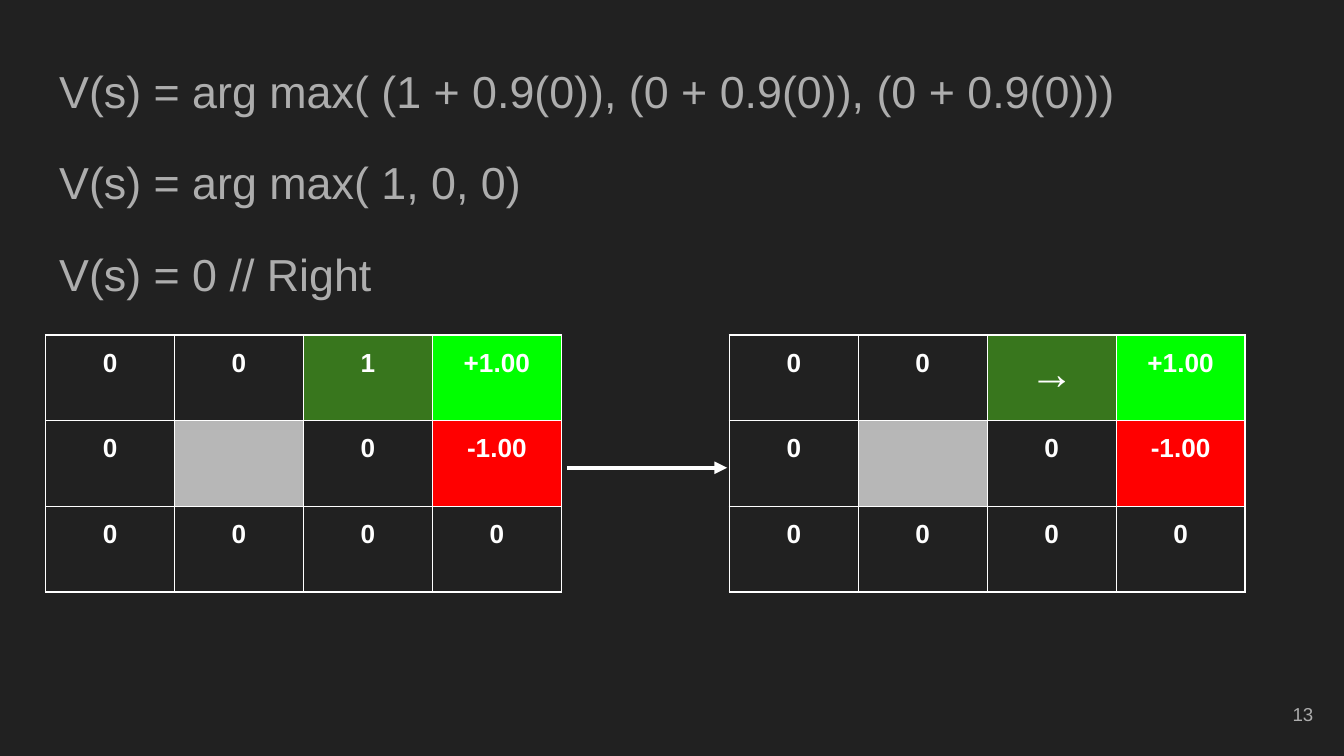
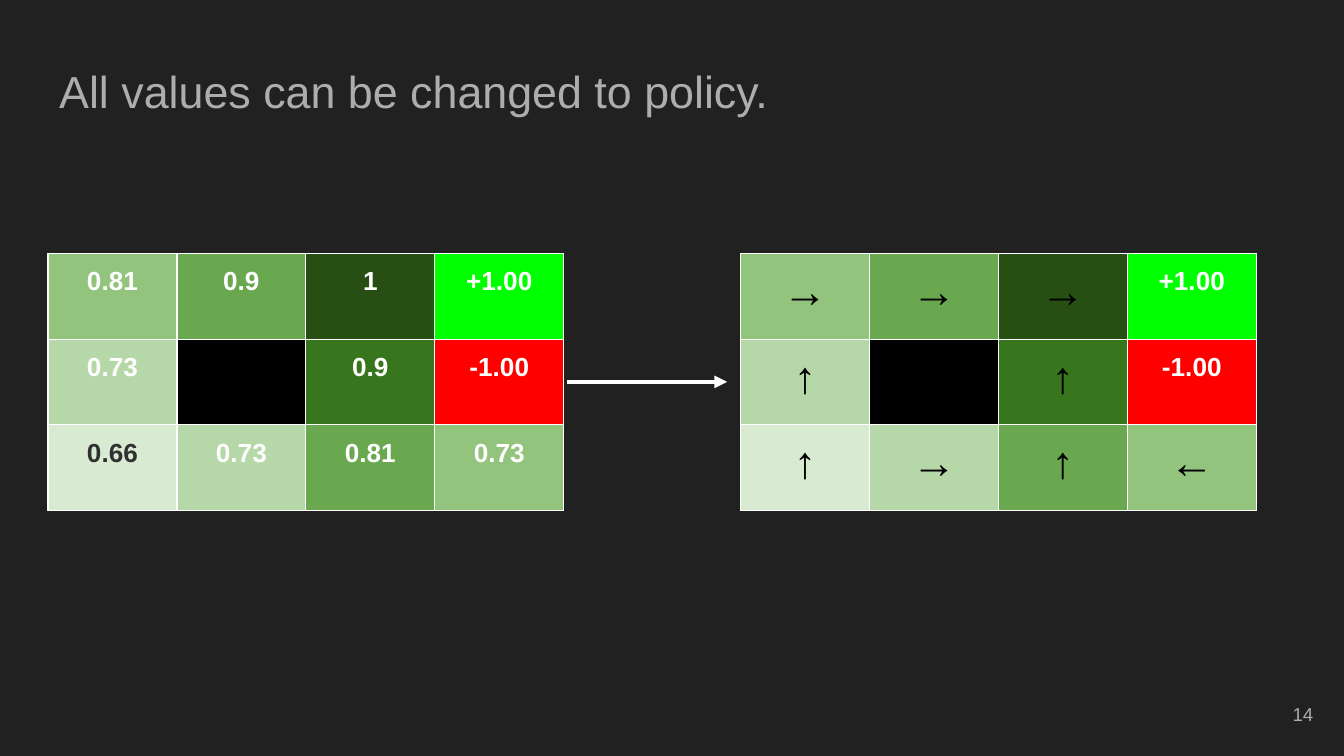
import pptx
import pptx.util
import pptx.dml.color
import pptx.enum.shapes
import pptx.enum.text
import pptx.oxml
import pptx.oxml.ns
from lxml import etree

Pt = pptx.util.Pt
ALIGN = pptx.enum.text.PP_ALIGN

# Shared look
FONT = "Arial"
BACKGROUND, MUTED, WHITE, BLACK = "212121", "ADADAD", "FFFFFF", "000000"
CHARCOAL = "303030"
GOAL, PIT, WALL = "00FF00", "FF0000", "B7B7B7"
GREENS = ["D9EAD3", "B6D7A8", "93C47D", "6AA84F", "38761D", "274E13"]
INSET = 7.2
COLUMN_WIDTH, ROW_HEIGHT = 69.1, 45.9
ARROW_FROM, ARROW_TO = 303.8, 389.5
MOVES = "←↑→"

# Content
START_FILLS = [
    [None, None, GREENS[4], GOAL],
    [None, WALL, None, PIT],
    [None, None, None, None],
]
FINAL_FILLS = [
    [GREENS[2], GREENS[3], GREENS[5], GOAL],
    [GREENS[1], BLACK, GREENS[4], PIT],
    [GREENS[0], GREENS[1], GREENS[3], GREENS[2]],
]
SLIDES = [
    {
        "number": "13",
        "lines": [
            "V(s) = arg max( (1 + 0.9(0)), (0 + 0.9(0)), (0 + 0.9(0)))",
            "V(s) = arg max( 1, 0, 0)",
            "V(s) = 0 // Right",
        ],
        "fills": START_FILLS,
        "move_color": WHITE,
        "top": 179.5,
        "arrow_y": 250.6,
        "grids": [
            (24.4, [["0", "0", "1", "+1.00"], ["0", "", "0", "-1.00"], ["0"] * 4]),
            (390.7, [["0", "0", "→", "+1.00"], ["0", "", "0", "-1.00"], ["0"] * 4]),
        ],
    },
    {
        "number": "14",
        "lines": ["All values can be changed to policy."],
        "fills": FINAL_FILLS,
        "move_color": BLACK,
        "top": 135.8,
        "arrow_y": 204.6,
        "grids": [
            (25.7, [["0.81", "0.9", "1", "+1.00"],
                    ["0.73", "", "0.9", "-1.00"],
                    ["0.66", "0.73", "0.81", "0.73"]]),
            (396.7, [["→", "→", "→", "+1.00"],
                     ["↑", "", "↑", "-1.00"],
                     ["↑", "→", "↑", "←"]]),
        ],
    },
]


def rgb(color):
    return pptx.dml.color.RGBColor.from_string(color)


def style(paragraph, size, color, bold=False, align=ALIGN.LEFT):
    paragraph.alignment = align
    for run in paragraph.runs:
        run.font.name = FONT
        run.font.size = Pt(size)
        run.font.bold = bold
        run.font.color.rgb = rgb(color)


def set_insets(holder):
    holder.margin_left = holder.margin_right = Pt(INSET)
    holder.margin_top = holder.margin_bottom = Pt(INSET)


def place(shape, left, top, width, height):
    shape.left, shape.top = Pt(left), Pt(top)
    shape.width, shape.height = Pt(width), Pt(height)


def add_formulas(slide, lines):
    body = slide.placeholders[1]
    place(body, 24.5, 22.5, 671, 337)
    frame = body.text_frame
    frame.text = "\n".join(lines)
    frame.auto_size = pptx.enum.text.MSO_AUTO_SIZE.NONE
    set_insets(frame)
    for index, paragraph in enumerate(frame.paragraphs):
        style(paragraph, 24, MUTED)
        paragraph.line_spacing = 1.15
        paragraph.space_before = Pt(16 if index else 0)
        paragraph.space_after = Pt(16 if index == len(lines) - 1 else 0)
        # Plain lines without bullets
        properties = paragraph._p.get_or_add_pPr()
        properties.set("marL", "0")
        properties.set("indent", "0")
        etree.SubElement(properties, pptx.oxml.ns.qn("a:buNone"))


def add_number(slide, number):
    box = slide.shapes.add_textbox(Pt(667.4), Pt(367.2), Pt(43.2), Pt(31))
    frame = box.text_frame
    frame.word_wrap = True
    frame.vertical_anchor = pptx.enum.text.MSO_ANCHOR.MIDDLE
    set_insets(frame)
    frame.text = number
    style(frame.paragraphs[0], 10, MUTED, align=ALIGN.RIGHT)


def add_borders(cell):
    properties = cell._tc.get_or_add_tcPr()
    for side in "LRTB":
        properties.append(pptx.oxml.parse_xml(
            f'<a:ln{side} {pptx.oxml.ns.nsdecls("a")} w="{Pt(0.75)}">'
            f'<a:solidFill><a:srgbClr val="{WHITE}"/></a:solidFill></a:ln{side}>'))


def add_grid(slide, left, top, values, fills, move_color):
    rows, columns = len(values), len(values[0])
    table = slide.shapes.add_table(
        rows, columns, Pt(left), Pt(top),
        Pt(columns * COLUMN_WIDTH), Pt(rows * ROW_HEIGHT)).table
    table.first_row = table.horz_banding = False
    for column in table.columns:
        column.width = Pt(COLUMN_WIDTH)
    for row, row_values, row_fills in zip(table.rows, values, fills):
        row.height = Pt(ROW_HEIGHT)
        for cell, value, fill in zip(row.cells, row_values, row_fills):
            set_insets(cell)
            add_borders(cell)
            if fill:
                cell.fill.solid()
                cell.fill.fore_color.rgb = rgb(fill)
            else:
                cell.fill.background()
            if not value:
                continue
            cell.text_frame.text = value
            is_move = value in MOVES
            # The palest square needs dark digits
            digit_color = CHARCOAL if fill == GREENS[0] else WHITE
            style(cell.text_frame.paragraphs[0], 24 if is_move else 14,
                  move_color if is_move else digit_color, True, ALIGN.CENTER)


def add_arrow(slide, y):
    arrow = slide.shapes.add_connector(
        pptx.enum.shapes.MSO_CONNECTOR.STRAIGHT,
        Pt(ARROW_FROM), Pt(y), Pt(ARROW_TO), Pt(y))
    arrow.line.color.rgb = rgb(WHITE)
    arrow.line.width = Pt(2.25)
    head = etree.SubElement(arrow.line._get_or_add_ln(), pptx.oxml.ns.qn("a:tailEnd"))
    head.set("type", "triangle")
    etree.SubElement(arrow._element.spPr, pptx.oxml.ns.qn("a:effectLst"))


def main():
    deck = pptx.Presentation()
    deck.slide_width, deck.slide_height = Pt(720), Pt(405)
    backdrop = deck.slide_master.background.fill
    backdrop.solid()
    backdrop.fore_color.rgb = rgb(BACKGROUND)

    for content in SLIDES:
        slide = deck.slides.add_slide(deck.slide_layouts[1])
        title = slide.shapes.title._element
        title.getparent().remove(title)
        add_formulas(slide, content["lines"])
        add_number(slide, content["number"])
        for left, values in content["grids"]:
            add_grid(slide, left, content["top"], values,
                     content["fills"], content["move_color"])
        add_arrow(slide, content["arrow_y"])

    deck.save("out.pptx")


if __name__ == "__main__":
    main()
